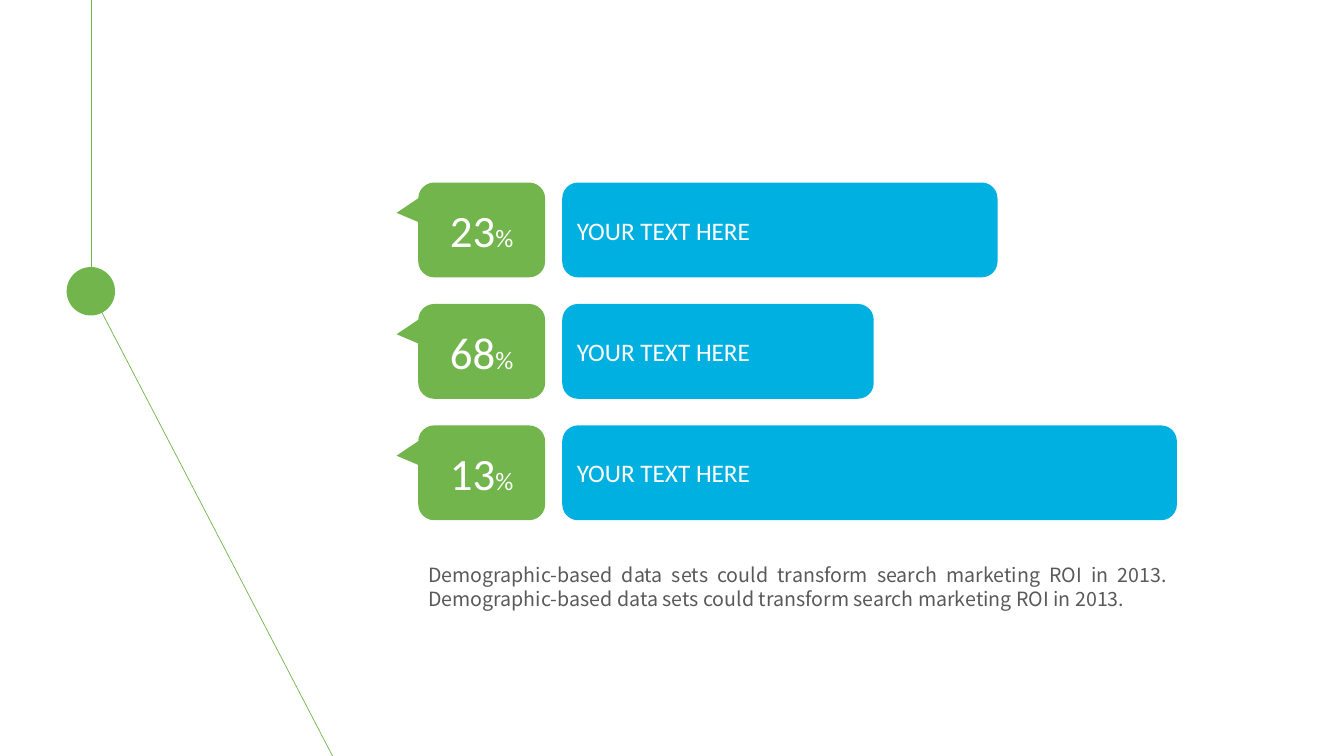
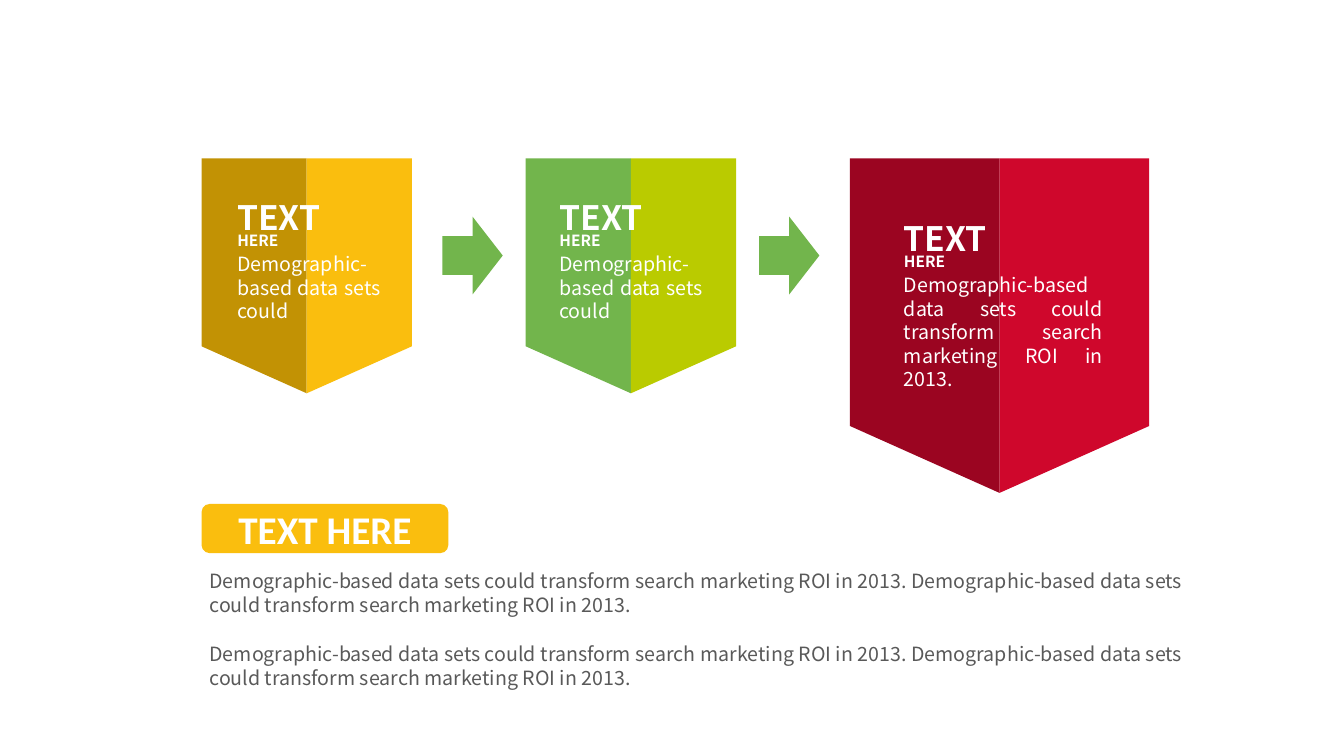
import pptx
import pptx.util
import pptx.dml.color
import pptx.enum.shapes
import pptx.enum.text
import lxml.etree

Cm = pptx.util.Cm
Kind = pptx.enum.shapes.MSO_SHAPE
Align = pptx.enum.text.PP_ALIGN
Anchor = pptx.enum.text.MSO_ANCHOR

HUES = {
    "white": "FFFFFF", "gray": "595959", "blue": "00B0E1", "green": "72B54C",
    "lime": "BACB00", "gold": "FABE0E", "ochre": "C29204", "red": "CF072C",
    "wine": "9B0521",
}
HUES = {name: pptx.dml.color.RGBColor.from_string(hue) for name, hue in HUES.items()}

SANS = "Noto Sans CJK SC"
FONTS = {
    "body": {"name": SANS, "size": pptx.util.Pt(14)},
    "head": {"name": SANS, "size": pptx.util.Pt(24), "bold": True},
    "sub": {"name": SANS, "size": pptx.util.Pt(11), "bold": True},
    "bar": {"name": "Calibri", "size": pptx.util.Pt(18)},
    "value": {"name": "Calibri", "size": pptx.util.Pt(32)},
    "label": {"name": "Calibri", "size": pptx.util.Pt(28), "bold": True},
}
CLAIM = "Demographic-based data sets could transform search marketing ROI in 2013."
PAIR = f"{CLAIM} {CLAIM}"


def draw(slide, kind, box, hue):
    """Add a flat, filled shape; box is left, top, width, height in cm."""
    shape = slide.shapes.add_shape(kind, *map(Cm, box))
    shape.shadow.inherit = False
    shape.fill.solid()
    shape.fill.fore_color.rgb = HUES[hue]
    shape.line.fill.background()
    return shape


def write(shape, runs, hue="white", align=Align.LEFT, anchor=Anchor.MIDDLE):
    """Fill a shape with one paragraph of (text, font key) runs."""
    frame = shape.text_frame
    frame.word_wrap = True
    frame.vertical_anchor = anchor
    line = frame.paragraphs[0]
    line.alignment = align
    for text, key in runs:
        run = line.add_run()
        run.text = text
        for name, value in FONTS[key].items():
            setattr(run.font, name, value)
        run.font.color.rgb = HUES[hue]


deck = pptx.Presentation()
deck.slide_width, deck.slide_height = Cm(33.87), Cm(19.05)
blank = deck.slide_layouts[6]

# Slide 1: percent bars
slide = deck.slides.add_slide(blank)
bars = [("23", 10.97), ("68", 7.85), ("13", 15.49)]
for row, (value, width) in enumerate(bars):
    top = 4.6 + 3.06 * row
    bar = draw(slide, Kind.ROUNDED_RECTANGLE, (14.17, top, width, 2.39), "blue")
    write(bar, [("YOUR TEXT HERE", "bar")])
    tag = draw(slide, Kind.ROUNDED_RECTANGULAR_CALLOUT, (10.54, top, 3.2, 2.39), "green")
    for spot, size in enumerate((-0.67, -0.18, 0.17)):
        tag.adjustments[spot] = size
    write(tag, [(value, "value"), ("%", "bar")], align=Align.CENTER)

for ends in [(2.29, 0, 2.29, 6.99), (2.29, 7.34, 8.38, 19.05)]:
    line = slide.shapes.add_connector(
        pptx.enum.shapes.MSO_CONNECTOR.STRAIGHT, *map(Cm, ends))
    line.line.color.rgb = HUES["green"]
    line.line.width = pptx.util.Pt(0.5)
    lxml.etree.SubElement(line._element.spPr, pptx.oxml.ns.qn("a:effectLst"))
draw(slide, Kind.OVAL, (1.68, 6.73, 1.22, 1.22), "green")

note = slide.shapes.add_textbox(*map(Cm, (10.54, 14.07, 19.13, 1.45)))
write(note, [(PAIR, "body")], "gray", Align.JUSTIFY, Anchor.TOP)

# Slide 2: shields in a row
slide = deck.slides.add_slide(blank)
short = "Demographic-based data sets could"
shields = [
    # left, half width, height, dark, light, text left, text top, text width, text
    (5.08, 2.65, 5.92, "ochre", "gold", 5.73, 4.83, 4.11, short),
    (13.25, 2.65, 5.92, "green", "lime", 13.85, 4.83, 4.11, short),
    (21.42, 3.77, 8.43, "wine", "red", 22.53, 5.36, 5.51, CLAIM),
]
for left, half, high, dark, light, x, y, wide, text in shields:
    for side, hue in enumerate((dark, light)):
        box = (left + half * side, 3.99, half, high)
        part = draw(slide, Kind.FLOWCHART_MANUAL_INPUT, box, hue)
        part.rotation = 180
        if hue == dark:
            part._element.spPr.xfrm.set("flipH", "1")
    lines = [
        ("TEXT", "head", 0, 2.95, 1.27, Align.LEFT),
        ("HERE", "sub", 0.86, 2.95, 0.74, Align.LEFT),
        (text, "body", 1.4, wide, 2.06, Align.JUSTIFY),
    ]
    for words, key, drop, width, tall, align in lines:
        box = slide.shapes.add_textbox(*map(Cm, (x, y + drop, width, tall)))
        write(box, [(words, key)], align=align, anchor=Anchor.TOP)

for left in (11.15, 19.13):
    draw(slide, Kind.RIGHT_ARROW, (left, 5.46, 1.52, 1.96), "green")

label = draw(slide, Kind.ROUNDED_RECTANGLE, (5.08, 12.7, 6.22, 1.24), "gold")
write(label, [("TEXT HERE", "label")], align=Align.CENTER)
for top in (14.22, 16.05):
    note = slide.shapes.add_textbox(*map(Cm, (5.03, top, 25.04, 1.45)))
    write(note, [(PAIR, "body")], "gray", Align.JUSTIFY, Anchor.TOP)

deck.save("out.pptx")
